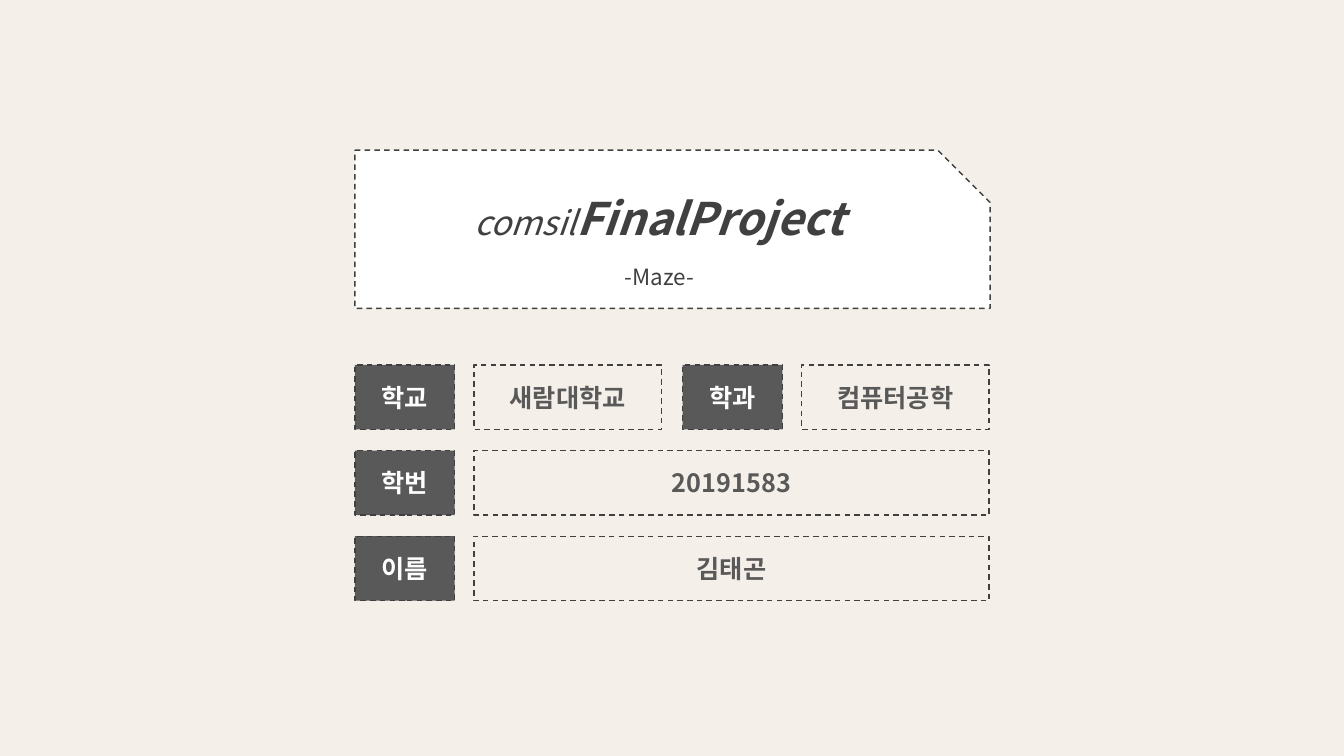
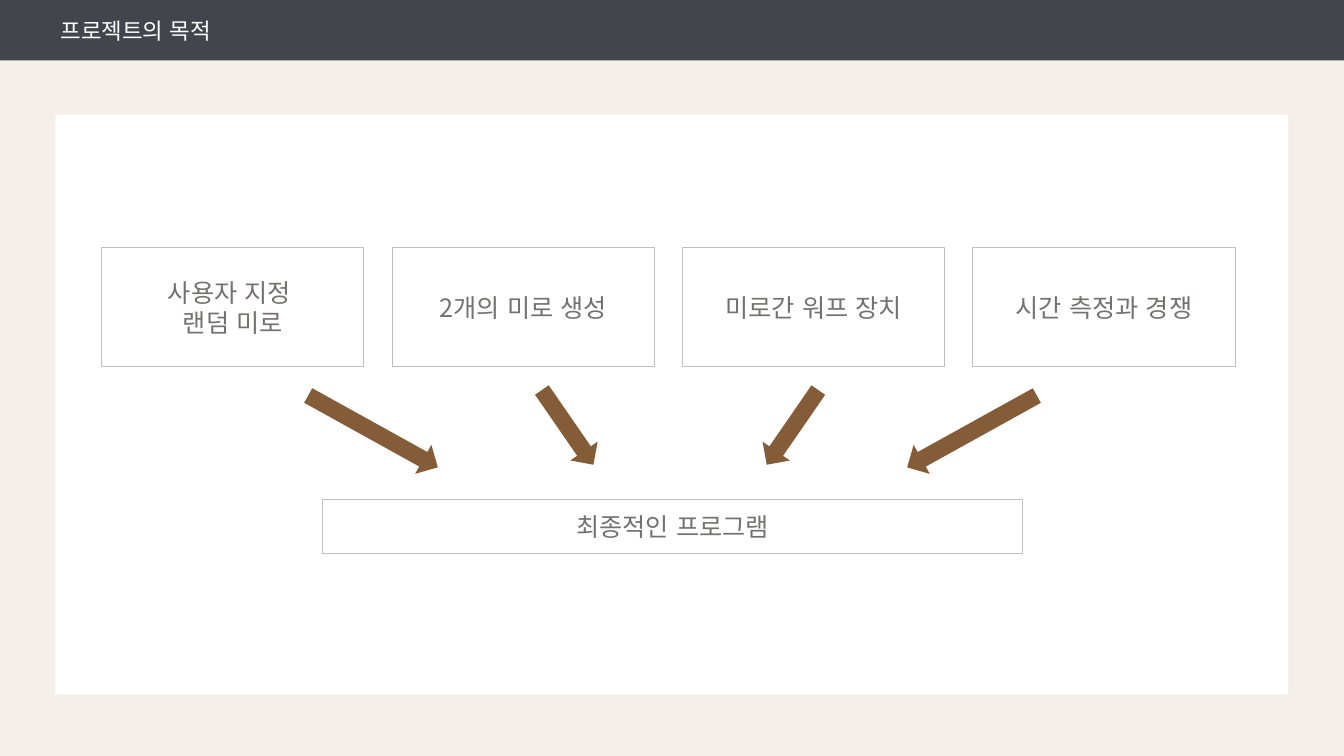
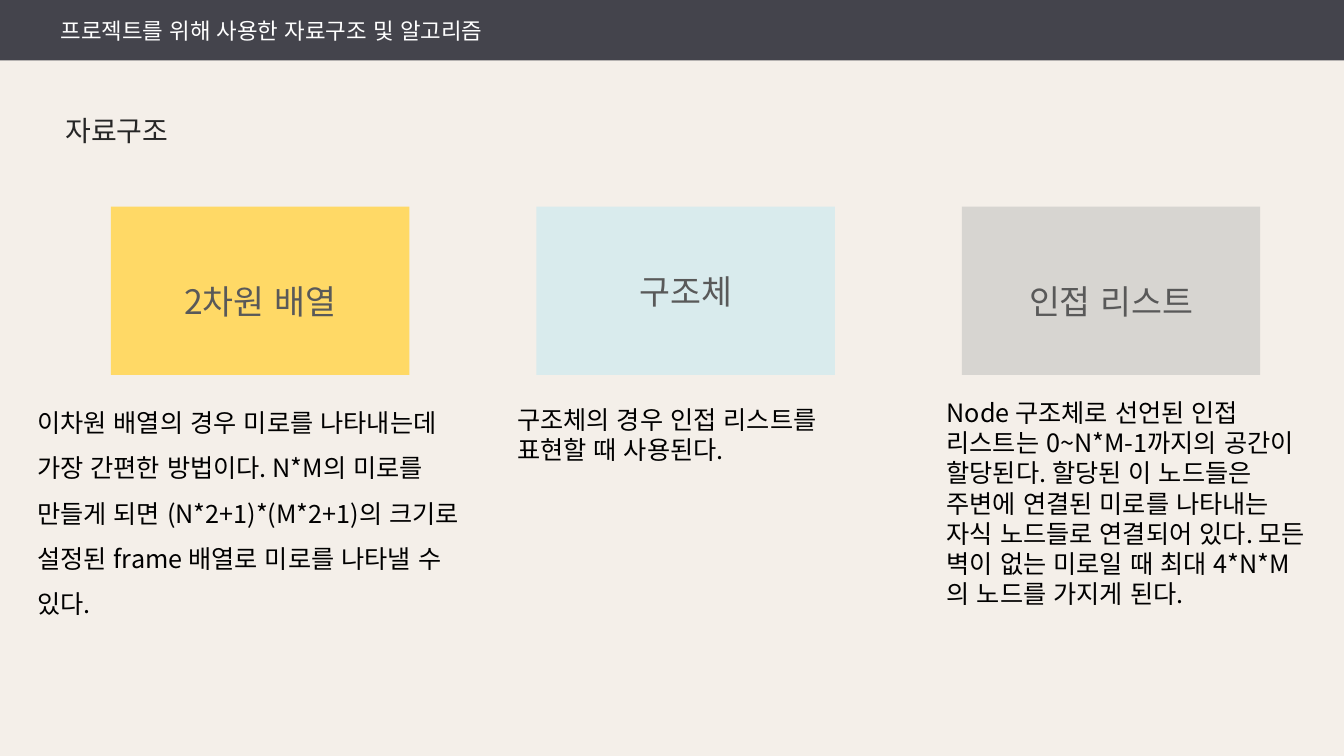
from lxml import etree
from pptx import Presentation
from pptx import util as u
from pptx.dml import color
from pptx.enum import dml, lang, shapes, text
from pptx.oxml import ns

COLORS = {
    "paper": "F4EFE9", "white": "FFFFFF", "black": "000000",
    "header": "44444C", "label": "595959", "ink": "404040",
    "heading": "262626", "border": "BFBFBF", "caption": "767171",
    "arrow": "845D38", "yellow": "FFD966", "aqua": "D9EBED", "stone": "D7D5D1",
}
FONT = "Noto Sans CJK KR"
CENTER, LEFT = text.PP_ALIGN.CENTER, text.PP_ALIGN.LEFT
MIDDLE, TOP = text.MSO_ANCHOR.MIDDLE, text.MSO_ANCHOR.TOP
DASHED = {"color": "ink", "width": 1, "dash": dml.MSO_LINE.DASH}
THIN = {"color": "border", "width": 0.75, "dash": dml.MSO_LINE.SOLID}


def rgb(name):
    return color.RGBColor.from_string(COLORS[name])


def assign(target, values):
    for key, value in values.items():
        setattr(target, key, value)


class Deck:
    def __init__(self):
        self.prs = Presentation()
        assign(self.prs, {"slide_width": u.Inches(13.33), "slide_height": u.Inches(7.5)})
        self.fill(self.prs.slide_master.background, "paper")
        self.slide = None

    def new_slide(self, layout):
        self.slide = self.prs.slides.add_slide(self.prs.slide_layouts[layout])

    def fill(self, target, name):
        if name:
            target.fill.solid()
            target.fill.fore_color.rgb = rgb(name)
        else:
            target.fill.background()

    def set_text(self, shape, paragraphs, ink, size=18, align=CENTER, anchor=MIDDLE,
                 spacing=1.0, **frame_format):
        frame = shape.text_frame
        assign(frame, {"word_wrap": True, "auto_size": text.MSO_AUTO_SIZE.NONE,
                       "vertical_anchor": anchor, **frame_format})
        for index, runs in enumerate(paragraphs):
            paragraph = frame.add_paragraph() if index else frame.paragraphs[0]
            assign(paragraph, {"alignment": align, "line_spacing": spacing,
                               "space_before": u.Pt(0)})
            for words, font_format in runs:
                run = paragraph.add_run()
                run.text = words
                assign(run.font, {"name": FONT, "size": u.Pt(size), "bold": False,
                                  "language_id": lang.MSO_LANGUAGE_ID.KOREAN,
                                  **font_format})
                run.font.color.rgb = rgb(ink)
                east_asian = etree.SubElement(run.font._element, ns.qn("a:ea"))
                east_asian.set("typeface", FONT)

    def place(self, shape, box):
        assign(shape, dict(zip(("left", "top", "width", "height"), map(u.Inches, box))))
        return shape

    def placeholder(self, index, box, paragraphs, ink, **style):
        holder = self.place(self.slide.placeholders[index], box)
        self.set_text(holder, paragraphs, ink, **style)
        return holder

    def header(self, words):
        band = self.placeholder(0, (0, 0, 13.33, 0.6), [[(words, {})]], "white",
                                size=16, align=LEFT, margin_left=u.Inches(0.6))
        self.fill(band, "header")

    def shape(self, box, fill, line=None, kind=shapes.MSO_SHAPE.RECTANGLE):
        item = self.slide.shapes.add_shape(kind, *map(u.Inches, box))
        item.shadow.inherit = False
        self.fill(item, fill)
        if line:
            item.line.color.rgb = rgb(line["color"])
            assign(item.line, {"width": u.Pt(line["width"]), "dash_style": line["dash"]})
        else:
            item.line.fill.background()
        return item

    def card(self, box, words, fill, ink, line=None, bold=False, **style):
        paragraphs = [[(part, {"bold": bold})] for part in words.split("\n")]
        self.set_text(self.shape(box, fill, line), paragraphs, ink, **style)

    def note(self, box, words, ink="black", **style):
        item = self.slide.shapes.add_textbox(*map(u.Inches, box))
        self.set_text(item, [[(words, {})]], ink, align=LEFT, anchor=TOP, **style)

    def arrow(self, center_x, center_y, length, angle):
        item = self.shape((center_x - length / 2, center_y - 0.165, length, 0.33),
                          "arrow", kind=shapes.MSO_SHAPE.RIGHT_ARROW)
        item.rotation = angle


def cover(deck):
    deck.new_slide(0)
    panel = deck.shape((3.52, 1.49, 6.3, 1.57), "white", DASHED,
                       shapes.MSO_SHAPE.SNIP_1_RECTANGLE)
    panel.adjustments[0] = 0.33
    deck.slide.shapes._spTree.insert(2, panel._element)
    flush = {"margin_top": 0, "margin_bottom": 0}
    deck.placeholder(0, (3.52, 1.84, 6.04, 0.64),
                     [[("comsil", {"size": u.Pt(24), "italic": True}),
                       ("FinalProject", {"bold": True, "italic": True})]],
                     "ink", size=32, **flush)
    deck.placeholder(1, (3.52, 2.48, 6.04, 0.48), [[("-Maze-", {})]],
                     "ink", size=16, spacing=1.5, anchor=TOP, **flush)
    column_step, row_step = 3.25, 0.85
    fields = [
        (0, 0, 1, "학교", "새람대학교"),
        (0, 1, 1, "학과", "컴퓨터공학"),
        (1, 0, 2, "학번", "20191583"),
        (2, 0, 2, "이름", "김태곤"),
    ]
    for row, column, span, label, value in fields:
        left, top = 3.52 + column * column_step, 3.62 + row * row_step
        width = 1.86 + (span - 1) * column_step
        deck.card((left, top, 0.99, 0.64), label, "label", "white", DASHED, True)
        deck.card((left + 1.18, top, width, 0.64), value, None, "label", DASHED, True)


def purpose(deck):
    deck.new_slide(5)
    deck.header("프로젝트의 목적")
    deck.shape((0.55, 1.14, 12.23, 5.75), "white")
    goals = ["사용자 지정 \n랜덤 미로", "2개의 미로 생성", "미로간 워프 장치", "시간 측정과 경쟁"]
    for index, goal in enumerate(goals):
        deck.card((1.01 + index * 2.88, 2.46, 2.6, 1.18), goal, "white", "caption", THIN)
    deck.card((3.2, 4.96, 6.94, 0.53), "최종적인 프로그램", "white", "caption", THIN)
    for outer_x, inner_x, mirrored in ((3.7, 5.63, False), (9.64, 7.86, True)):
        for center_x, center_y, length, angle in ((outer_x, 4.28, 1.47, 29),
                                                  (inner_x, 4.24, 0.9, 55.4)):
            deck.arrow(center_x, center_y, length, 180 - angle if mirrored else angle)


def structures(deck):
    deck.new_slide(5)
    deck.header("프로젝트를 위해 사용한 자료구조 및 알고리즘")
    deck.note((0.55, 0.91, 5.9, 0.54), "자료구조", "heading", size=20, spacing=1.5)
    topics = [
        ("2차원 배열", "yellow", 1.5, (0.27, 3.84, 4.62, 2.32), 1.5,
         "이차원 배열의 경우 미로를 나타내는데 가장 간편한 방법이다. N*M의 미로를 만들게 되면 "
         "(N*2+1)*(M*2+1)의 크기로 설정된 frame 배열로 미로를 나타낼 수 있다."),
        ("구조체", "aqua", 1.0, (5.03, 3.96, 3.68, 0.71), 1.0,
         "구조체의 경우 인접 리스트를 표현할 때 사용된다."),
        ("인접 리스트", "stone", 1.5, (9.29, 3.89, 3.77, 2.22), 1.0,
         "Node 구조체로 선언된 인접 리스트는 0~N*M-1까지의 공간이 할당된다. 할당된 이 노드들은 "
         "주변에 연결된 미로를 나타내는 자식 노드들로 연결되어 있다. 모든 벽이 없는 미로일 때 "
         "최대 4*N*M의 노드를 가지게 된다."),
    ]
    for index, (name, fill, name_spacing, box, spacing, detail) in enumerate(topics):
        deck.card((1.1 + index * 4.22, 2.05, 2.96, 1.67), name, fill, "label",
                  size=24, spacing=name_spacing)
        deck.note(box, detail, spacing=spacing)


def main():
    deck = Deck()
    for build in (cover, purpose, structures):
        build(deck)
    deck.prs.save("out.pptx")


if __name__ == "__main__":
    main()
